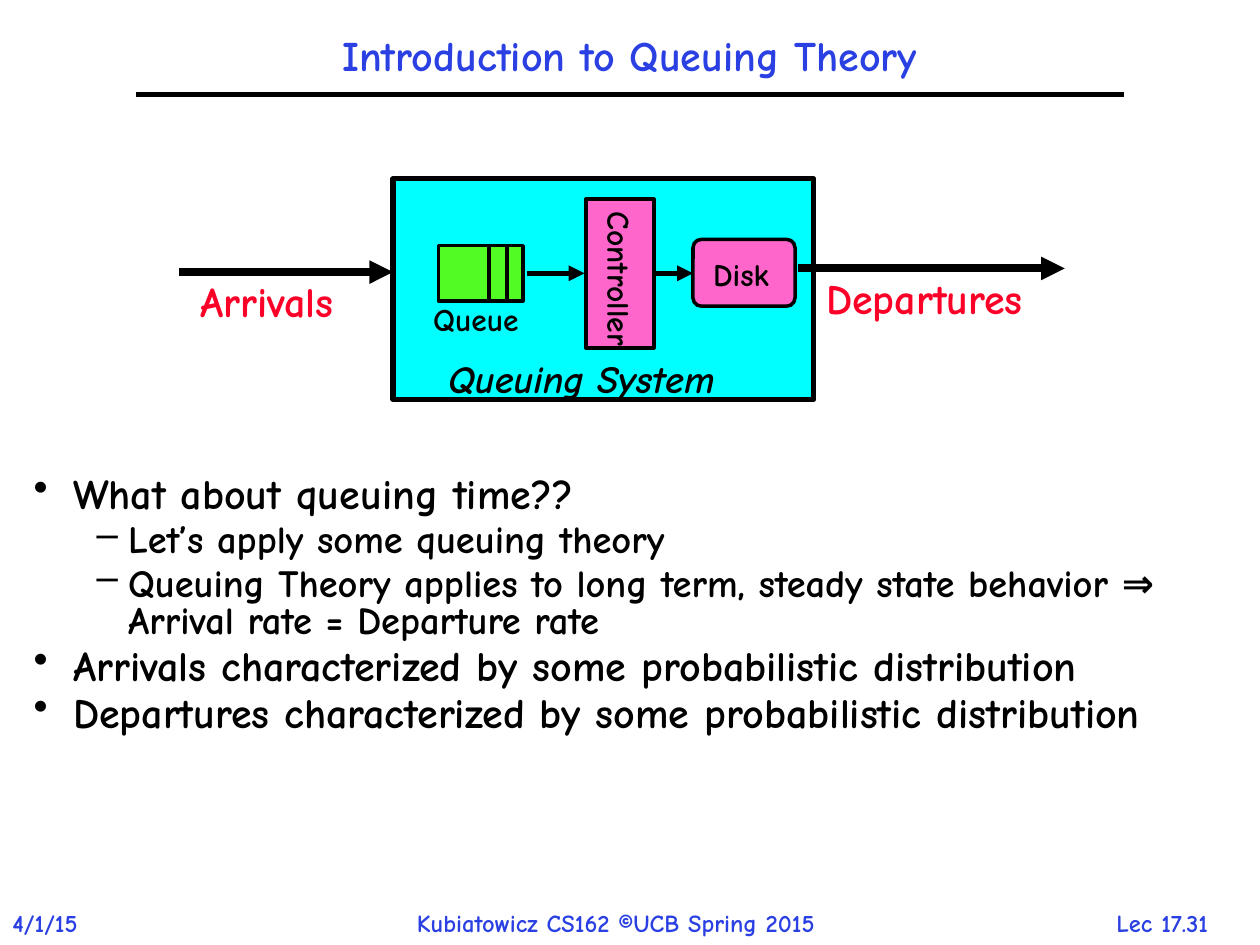
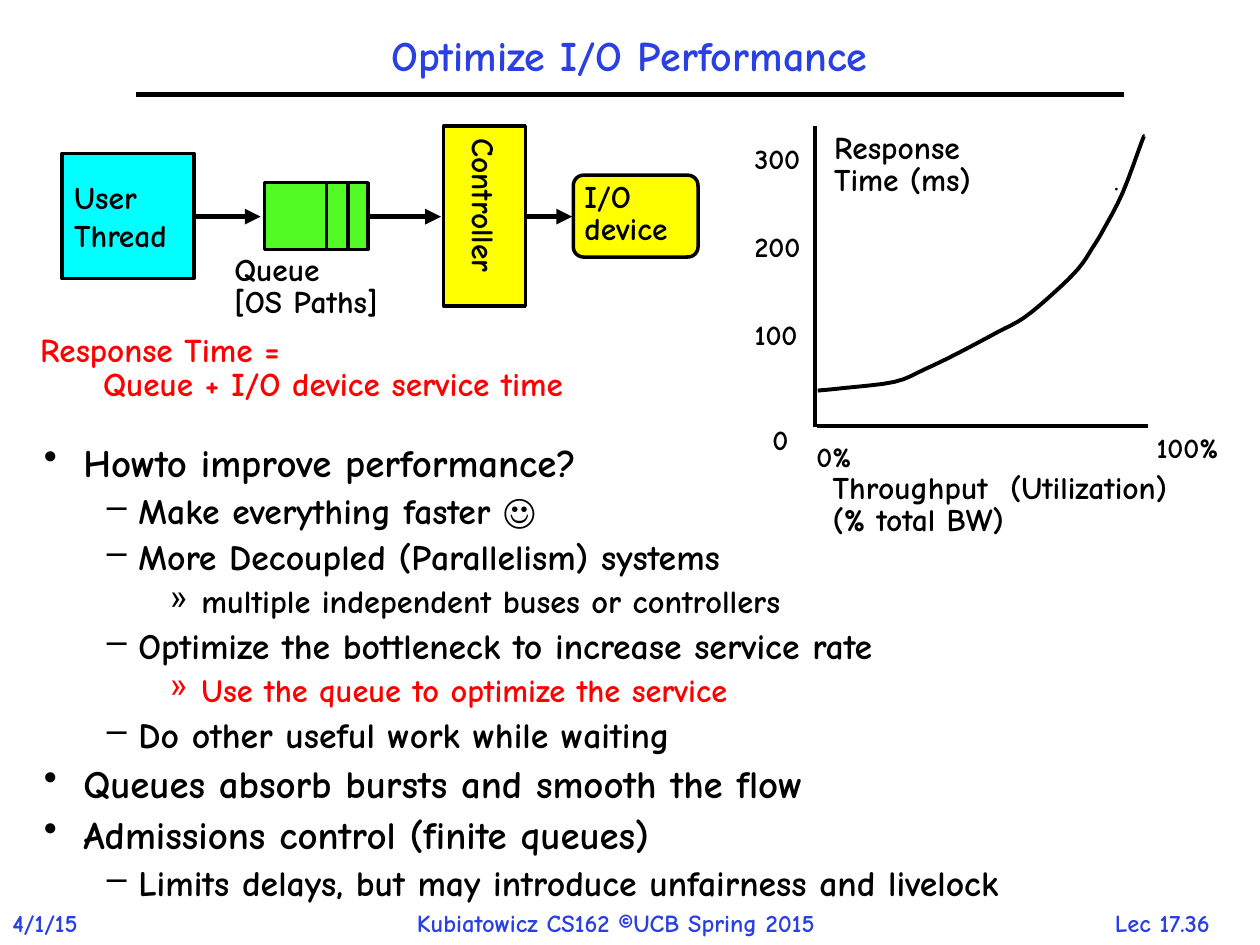
import pptx
import pptx.dml.color
import pptx.enum.shapes
import pptx.enum.text
import pptx.oxml.ns
import pptx.util
from lxml import etree

Pt = pptx.util.Pt
rgb = pptx.dml.color.RGBColor.from_string
qn = pptx.oxml.ns.qn
MSO = pptx.enum.shapes.MSO_SHAPE
STRAIGHT = pptx.enum.shapes.MSO_CONNECTOR.STRAIGHT
PP = pptx.enum.text.PP_ALIGN
ANCHOR = pptx.enum.text.MSO_ANCHOR
FIT = pptx.enum.text.MSO_AUTO_SIZE

BLACK, BLUE, RED, CRIMSON = "000000", "2A40E2", "FF0000", "FC0128"
CYAN, GREEN, PINK, YELLOW = "00FFFF", "53FB25", "FF66CC", "FFFF00"
WIDE = {"margin_left": Pt(7.2), "margin_right": Pt(7.2), "margin_top": Pt(3.6), "margin_bottom": Pt(3.6)}
TIGHT = {"margin_left": Pt(5), "margin_right": Pt(5), "margin_top": Pt(2.2), "margin_bottom": Pt(2.2)}
LEVELS = [("•", 22.5, -22.5), ("–", 54, -18), ("»", 90, -18)]


def write(tf, text, size, color=BLACK, italic=None, indent=None, **layout):
    p = tf.add_paragraph() if tf.text else tf.paragraphs[0]
    p.text = text
    for key, value in layout.items():
        setattr(p, key, value)
    if indent:
        pPr = p._p.get_or_add_pPr()
        pPr.set("marL", str(Pt(indent[0])))
        pPr.set("indent", str(Pt(indent[1])))
    fmt = {"name": "Comic Neue", "size": Pt(size), "bold": True, "italic": italic}
    for r in p.runs:
        for key, value in fmt.items():
            setattr(r.font, key, value)
        r.font.color.rgb = rgb(color)
    return p


def draw_line(s, x1, y1, x2, y2, width, arrow=False):
    cx = s.shapes.add_connector(STRAIGHT, Pt(x1), Pt(y1), Pt(x2), Pt(y2))
    cx.line.width = Pt(width)
    cx.line.color.rgb = rgb(BLACK)
    if arrow:
        etree.SubElement(cx.line._get_or_add_ln(), qn("a:tailEnd"), type="triangle")
    etree.SubElement(cx._element.spPr, qn("a:effectLst"))


slides = [
    {
        "title": "Introduction to Queuing Theory",
        "number": "Lec 17.31",
        "boxes": [
            (MSO.RECTANGLE, 224.6, 102.2, 240.5, 126, CYAN, 3, ""),
            (MSO.ROUNDED_RECTANGLE, 396, 136.8, 58.3, 38.2, PINK, 2, ""),
            (MSO.RECTANGLE, 334.8, 113.8, 38.9, 85, PINK, 2, "Controller"),
        ],
        "queue": (250.6, 140.4, 48.2, 31.7),
        "lines": [
            (455.8, 153.4, 608.4, 153.4, 4.5, True),
            (102.2, 155.5, 224.6, 155.5, 4.5, True),
            (301, 156.2, 334, 156.2, 3, True),
            (373.7, 156.2, 396, 156.2, 3, True),
        ],
        "labels": [
            (465, 152, 143.3, 36, "Departures", 24, CRIMSON, 1, WIDE),
            (107.3, 154, 104.4, 36, "Arrivals", 24, CRIMSON, 1, WIDE),
            (242.6, 172.8, 64.8, 41, "Queue", 18, BLACK, 0.85, TIGHT),
            (402.5, 146.9, 46.8, 22.3, "Disk", 18, BLACK, 0.85, TIGHT),
        ],
        "body": (12.2, 269.3, 696.2, 259),
        "sizes": (24, 22),
        "before": 0.17,
        "bullets": [
            (0, "What about queuing time??", BLACK),
            (1, "Let’s apply some queuing theory", BLACK),
            (1, "Queuing Theory applies to long term, steady state behavior ⇒ "
                "Arrival rate = Departure rate", BLACK),
            (0, "Arrivals characterized by some probabilistic distribution", BLACK),
            (0, "Departures characterized by some probabilistic distribution", BLACK),
        ],
    },
    {
        "title": "Optimize I/O Performance",
        "number": "Lec 17.36",
        "boxes": [
            (MSO.ROUNDED_RECTANGLE, 327.6, 100.1, 71.3, 46.8, YELLOW, 2, ""),
            (MSO.RECTANGLE, 35.3, 87.8, 75.6, 71.3, CYAN, 2, "User\nThread"),
            (MSO.RECTANGLE, 253.4, 72, 46.8, 103, YELLOW, 2, "Controller"),
        ],
        "queue": (151.2, 104.4, 59, 38.2),
        "lines": [
            (110.9, 123.8, 149, 123.8, 3, True),
            (211.7, 123.8, 252, 123.8, 3, True),
            (300.2, 123.8, 326.9, 123.8, 3, True),
            (465.8, 244, 465.8, 72, 2),
            (466.6, 243.4, 655.9, 243.4, 2),
        ],
        "labels": [
            (18, 189.4, 480.2, 43.2, "Response Time = \v\tQueue + I/O device service time", 19, RED, 0.85, TIGHT),
            (128.9, 144, 106.6, 41, "Queue\n[OS Paths]", 18, BLACK, 0.85, TIGHT),
            (329, 102.2, 67, 41.8, "I/O\ndevice", 18, BLACK, 0.85, TIGHT),
            (471.6, 74.2, 97.2, 41.8, "Response\nTime (ms)", 18, BLACK, 0.85, TIGHT),
            (470.9, 268.6, 227.5, 41, "Throughput  (Utilization)\n(% total BW)", 18, BLACK, 0.85, TIGHT),
            (461.5, 251.3, 33.8, 21.6, "0%", 16, BLACK, 0.9, TIGHT),
            (655.9, 246.2, 52.6, 21.6, "100%", 16, BLACK, 0.9, TIGHT),
            (436.3, 241.2, 20.2, 21.6, "0", 16, BLACK, 0.9, TIGHT),
        ] + [
            (426.2, 231.8 - 50.4 * i, 39.6, 21.6, str(100 * i), 16, BLACK, 0.9, TIGHT)
            for i in (1, 2, 3)
        ],
        "body": (18, 252, 680.4, 270.7),
        "sizes": (22.2, 20.4, 18.5),
        "before": 0.345,
        "bullets": [
            (0, "Howto improve performance?", BLACK),
            (1, "Make everything faster ☺", BLACK),
            (1, "More Decoupled (Parallelism) systems", BLACK),
            (2, "multiple independent buses or controllers", BLACK),
            (1, "Optimize the bottleneck to increase service rate", BLACK),
            (2, "Use the queue to optimize the service", RED),
            (1, "Do other useful work while waiting", BLACK),
            (0, "Queues absorb bursts and smooth the flow", BLACK),
            (0, "Admissions control (finite queues)", BLACK),
            (1, "Limits delays, but may introduce unfairness and livelock", BLACK),
        ],
    },
]

footers = [
    (0, 515.5, 63.4, 24.5, "4/1/15", 14, BLUE, 1, WIDE),
    (231.1, 515.5, 278.6, 24.5, "Kubiatowicz CS162 ©UCB Spring 2015", 14, BLUE, 1, WIDE),
]

prs = pptx.Presentation()
prs.slide_width, prs.slide_height = Pt(720), Pt(540)

for data in slides:
    s = prs.slides.add_slide(prs.slide_layouts[5])
    title = s.shapes.title
    title.left, title.top, title.width, title.height = Pt(77.8), Pt(12.2), Pt(563.8), Pt(41.8)
    tf = title.text_frame
    for key, value in {**WIDE, "vertical_anchor": ANCHOR.MIDDLE, "auto_size": FIT.NONE}.items():
        setattr(tf, key, value)
    write(tf, data["title"], 24, BLUE, alignment=PP.CENTER, line_spacing=0.9)
    draw_line(s, 77.8, 54, 642.2, 54, 3)

    x, y, w, h = data["queue"]
    queue_box = (MSO.RECTANGLE, x, y, w, h, GREEN, 2, "")
    for kind, left, top, width, height, fill, weight, text in data["boxes"] + [queue_box]:
        sp = s.shapes.add_shape(kind, Pt(left), Pt(top), Pt(width), Pt(height))
        sp.shadow.inherit = False
        sp.fill.solid()
        sp.fill.fore_color.rgb = rgb(fill)
        sp.line.color.rgb = rgb(BLACK)
        sp.line.width = Pt(weight)
        if kind == MSO.ROUNDED_RECTANGLE:
            sp.adjustments[0] = 0.125
        if text:
            tf = sp.text_frame
            for key, value in {**WIDE, "word_wrap": False, "vertical_anchor": ANCHOR.MIDDLE}.items():
                setattr(tf, key, value)
            if text == "Controller":
                tf._txBody.bodyPr.set("vert", "eaVert")
            for part in text.split("\n"):
                write(tf, part, 18, indent=(18, -18), alignment=PP.LEFT)

    for share in (0.6, 0.81):
        draw_line(s, x + share * w, y + h, x + share * w, y, 2)
    for line in data["lines"]:
        draw_line(s, *line)

    number = (616.3, 515.5, 95.8, 24, data["number"], 14, BLUE, 1, WIDE)
    for left, top, width, height, text, size, color, spacing, margins in data["labels"] + footers + [number]:
        tf = s.shapes.add_textbox(Pt(left), Pt(top), Pt(width), Pt(height)).text_frame
        for key, value in {**margins, "word_wrap": "\v" in text, "auto_size": FIT.SHAPE_TO_FIT_TEXT}.items():
            setattr(tf, key, value)
        align = PP.CENTER if text == data["number"] else PP.LEFT
        for part in text.split("\n"):
            write(tf, part, size, color, alignment=align, line_spacing=spacing)

    tf = s.shapes.add_textbox(*[Pt(v) for v in data["body"]]).text_frame
    for key, value in {**WIDE, "word_wrap": True}.items():
        setattr(tf, key, value)
    for level, text, color in data["bullets"]:
        char, margin, hang = LEVELS[level]
        size = data["sizes"][level]
        p = write(tf, text, size, color, indent=(margin, hang), level=level,
                  line_spacing=0.8, space_before=Pt(size * data["before"]))
        etree.SubElement(p._p.get_or_add_pPr(), qn("a:buChar"), char=char)

s = prs.slides[0]
tf = s.shapes.add_textbox(Pt(249.1), Pt(199.4), Pt(185), Pt(28.1)).text_frame
for key, value in {**WIDE, "word_wrap": False, "auto_size": FIT.SHAPE_TO_FIT_TEXT}.items():
    setattr(tf, key, value)
write(tf, "Queuing System", 22, italic=True, indent=(18, -18))

s = prs.slides[1]
knots = [(467.3, 223.2), (481.7, 221.8), (511.2, 218.2), (528.5, 211), (546.5, 202.3),
         (569.5, 190.1), (585.4, 181.4), (602.6, 167), (616.3, 153.4), (624.2, 141.8),
         (630.7, 131), (641.5, 110.2), (652.3, 81.4), (653.8, 77.8)]
ends = [knots[0]] + knots + [knots[-1]]
points = []
for a, b, c, d in zip(ends, ends[1:], ends[2:], ends[3:]):
    for t in (0.25, 0.5, 0.75, 1):
        points.append([
            Pt(q + (r - o) * t / 2 + (2 * o - 5 * q + 4 * r - u) * t**2 / 2
               + (3 * q - o - 3 * r + u) * t**3 / 2)
            for o, q, r, u in zip(a, b, c, d)
        ])
fb = s.shapes.build_freeform(Pt(knots[0][0]), Pt(knots[0][1]))
fb.add_line_segments(points, close=False)
curve = fb.convert_to_shape()
curve.shadow.inherit = False
curve.fill.background()
curve.line.color.rgb = rgb(BLACK)
curve.line.width = Pt(2.25)

dot = s.shapes.add_shape(MSO.OVAL, Pt(637.2), Pt(107.3), Pt(1.5), Pt(1.5))
dot.shadow.inherit = False
dot.fill.solid()
dot.fill.fore_color.rgb = rgb(BLACK)
dot.line.fill.background()

prs.save("out.pptx")
